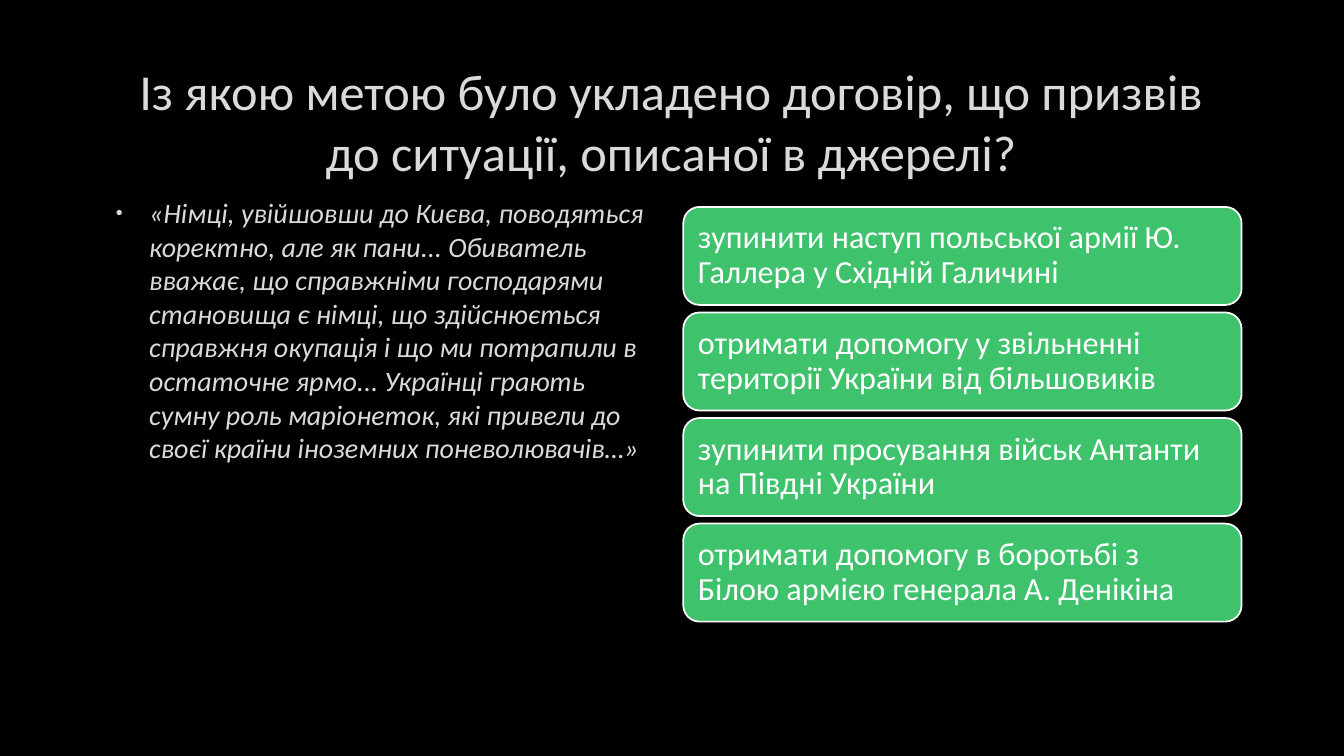
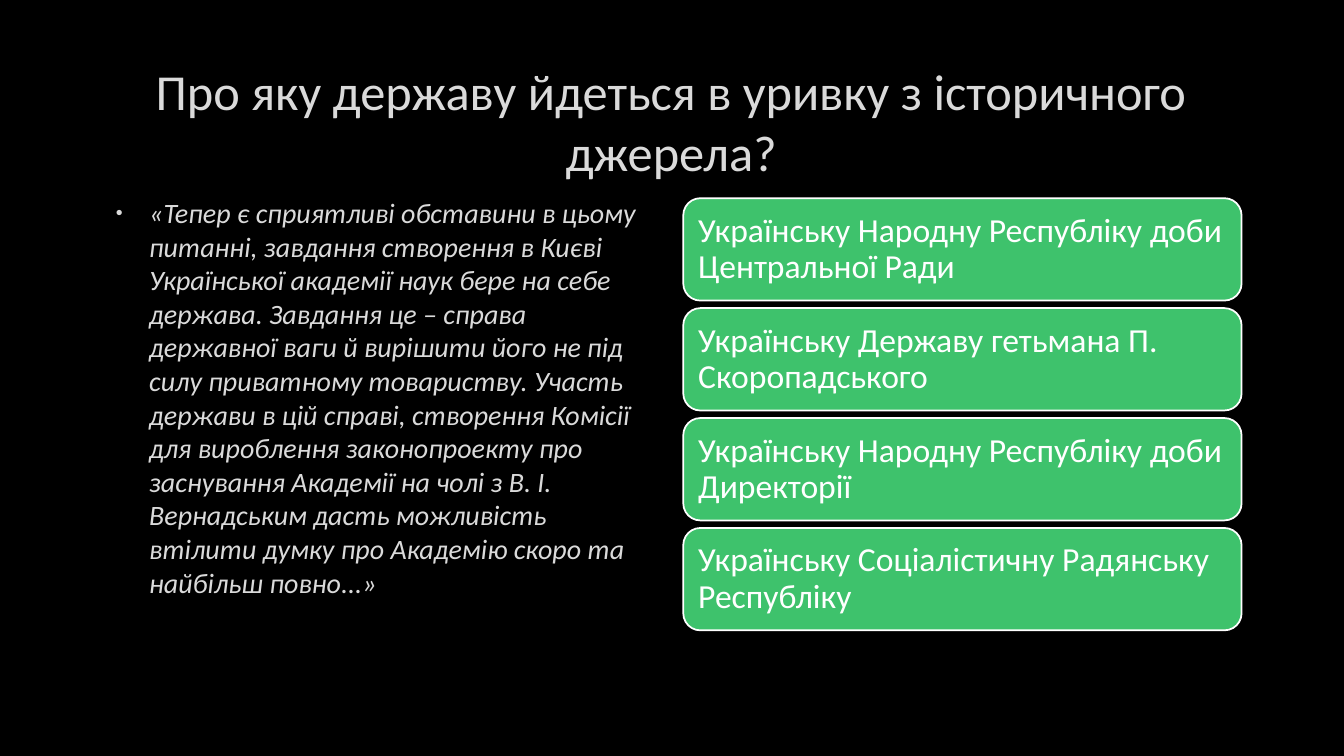
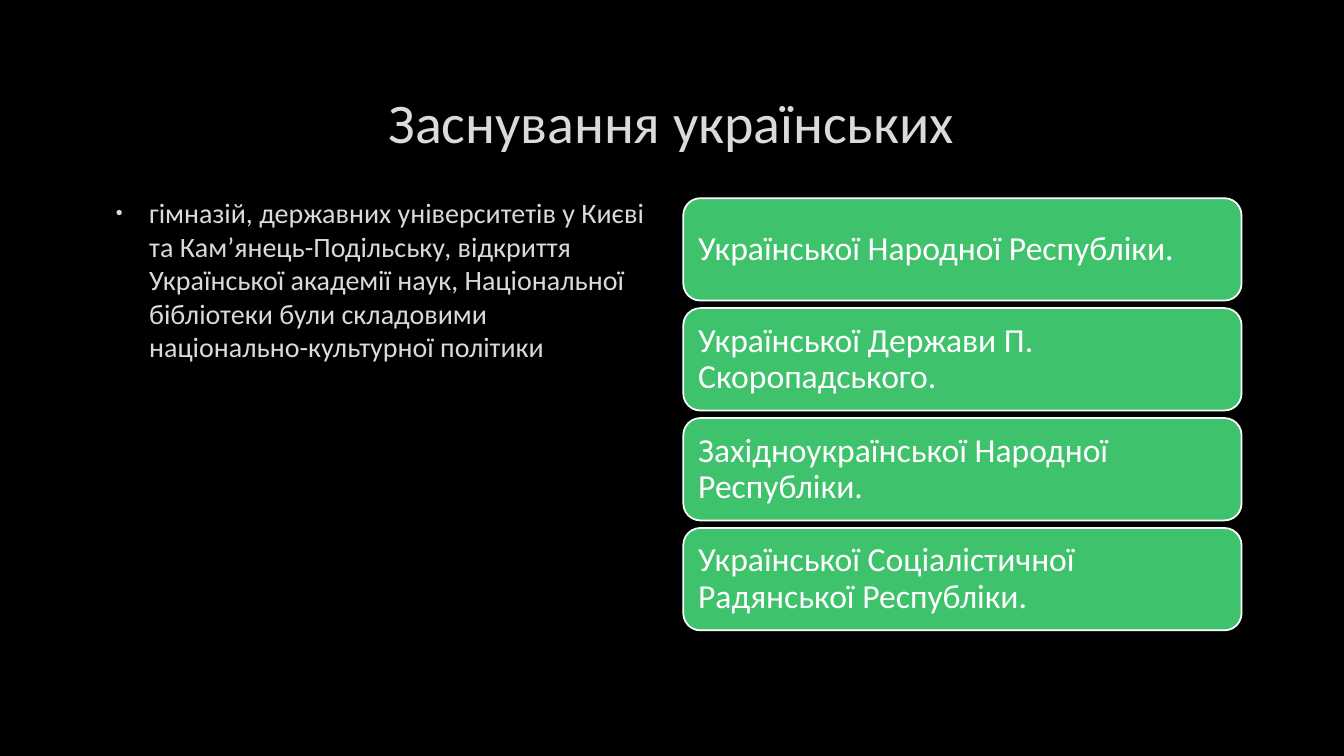
from lxml import etree
from pptx import Presentation
from pptx.dml.color import RGBColor
from pptx.enum import shapes, text
from pptx.oxml import ns
from pptx.util import Cm, Pt

FONT = "Calibri"
BLACK, GREY, GREEN, WHITE = "000000", "DADADA", "3EC26C", "FFFFFF"
LEFT = 2.54
ANSWER_LEFT, ANSWER_WIDTH = 17.22, 14.07
ANSWER_MIDDLE, ANSWER_GAP = 10.44, 0.19

QUESTIONS = [
    {
        "title": "Із якою метою було укладено договір, що призвів до ситуації, описаної в джерелі?",
        "source": "«Німці, увійшовши до Києва, поводяться коректно, але як пани... "
                  "Обиватель вважає, що справжніми господарями становища є німці, "
                  "що здійснюється справжня окупація і що ми потрапили в остаточне ярмо... "
                  "Українці грають сумну роль маріонеток, які привели до своєї країни "
                  "іноземних поневолювачів…»",
        "answers": [
            "зупинити наступ польської армії Ю. Галлера у Східній Галичині",
            "отримати допомогу у звільненні території України від більшовиків",
            "зупинити просування військ Антанти на Півдні України",
            "отримати допомогу в боротьбі з Білою армією генерала А. Денікіна",
        ],
        "answer_size": 23,
        "answer_height": 2.47,
    },
    {
        "title": "Про яку державу йдеться в уривку з історичного джерела?",
        "source": "«Тепер є сприятливі обставини в цьому питанні, завдання створення в Києві "
                  "Української академії наук бере на себе держава. Завдання це – справа "
                  "державної ваги й вирішити його не під силу приватному товариству. "
                  "Участь держави в цій справі, створення Комісії для вироблення законопроекту "
                  "про заснування Академії на чолі з В. І. Вернадським дасть можливість "
                  "втілити думку про Академію скоро та найбільш повно...»",
        "answers": [
            "Українську Народну Республіку доби Центральної Ради",
            "Українську Державу гетьмана П. Скоропадського",
            "Українську Народну Республіку доби Директорії",
            "Українську Соціалістичну Радянську Республіку",
        ],
    },
    {
        "title": "Заснування українських",
        "title_size": 40,
        "source": "гімназій, державних університетів у Києві та Кам’янець-Подільську, "
                  "відкриття Української академії наук, Національної бібліотеки були "
                  "складовими національно-культурної політики",
        "italic": False,
        "answers": [
            "Української Народної Республіки.",
            "Української Держави П. Скоропадського.",
            "Західноукраїнської Народної Республіки.",
            "Української Соціалістичної Радянської Республіки.",
        ],
    },
]


def paint(color_format, color):
    color_format.rgb = RGBColor.from_string(color)


def paint_fill(fill, color):
    fill.solid()
    paint(fill.fore_color, color)


def add_bullet(paragraph, color):
    properties = paragraph._p.get_or_add_pPr()
    properties.set("marL", str(Cm(0.97)))
    properties.set("indent", str(Cm(-0.84)))
    bullet_color = etree.SubElement(properties, ns.qn("a:buClr"))
    etree.SubElement(bullet_color, ns.qn("a:srgbClr"), val=color)
    etree.SubElement(properties, ns.qn("a:buSzPct"), val="70000")
    etree.SubElement(properties, ns.qn("a:buFont"), typeface="Arial")
    etree.SubElement(properties, ns.qn("a:buChar"), char="•")


def write(shape, content, size, color=GREY, italic=False, align=text.PP_ALIGN.LEFT,
          anchor=text.MSO_ANCHOR.MIDDLE, line_spacing=None, bullet=False):
    frame = shape.text_frame
    frame.word_wrap = True
    frame.vertical_anchor = anchor
    paragraph = frame.paragraphs[0]
    if bullet:
        add_bullet(paragraph, color)
    paragraph.alignment = align
    paragraph.line_spacing = line_spacing
    run = paragraph.add_run()
    run.text = content
    run.font.name = FONT
    run.font.size = Pt(size)
    run.font.italic = italic
    paint(run.font.color, color)


def add_title(slide, content, size):
    box = slide.shapes.add_textbox(Cm(LEFT), Cm(1.7), Cm(28.75), Cm(2.69))
    write(box, content, size, align=text.PP_ALIGN.CENTER)


def add_source(slide, content, italic):
    box = slide.shapes.add_textbox(Cm(LEFT), Cm(4.8), Cm(14.05), Cm(11.28))
    write(box, content, 20, italic=italic, anchor=text.MSO_ANCHOR.TOP, bullet=True)


def add_answer(slide, content, top, height, size):
    shape = slide.shapes.add_shape(
        shapes.MSO_SHAPE.ROUNDED_RECTANGLE,
        Cm(ANSWER_LEFT), Cm(top), Cm(ANSWER_WIDTH), Cm(height))
    shape.shadow.inherit = False
    paint_fill(shape.fill, GREEN)
    paint(shape.line.color, WHITE)
    shape.line.width = Pt(1.25)
    write(shape, content, size, color=WHITE, line_spacing=0.9)


def add_answers(slide, answers, height, size):
    pitch = height + ANSWER_GAP
    first_top = ANSWER_MIDDLE - (len(answers) * pitch - ANSWER_GAP) / 2
    for index, answer in enumerate(answers):
        add_answer(slide, answer, first_top + index * pitch, height, size)


def add_question(presentation, title, source, answers, title_size=36, italic=True,
                 answer_size=24, answer_height=2.58):
    slide = presentation.slides.add_slide(presentation.slide_layouts[6])
    add_title(slide, title, title_size)
    add_source(slide, source, italic)
    add_answers(slide, answers, answer_height, answer_size)


def main():
    presentation = Presentation()
    presentation.slide_width = Cm(33.87)
    presentation.slide_height = Cm(19.05)
    paint_fill(presentation.slide_master.background.fill, BLACK)
    for question in QUESTIONS:
        add_question(presentation, **question)
    presentation.save("out.pptx")


if __name__ == "__main__":
    main()
